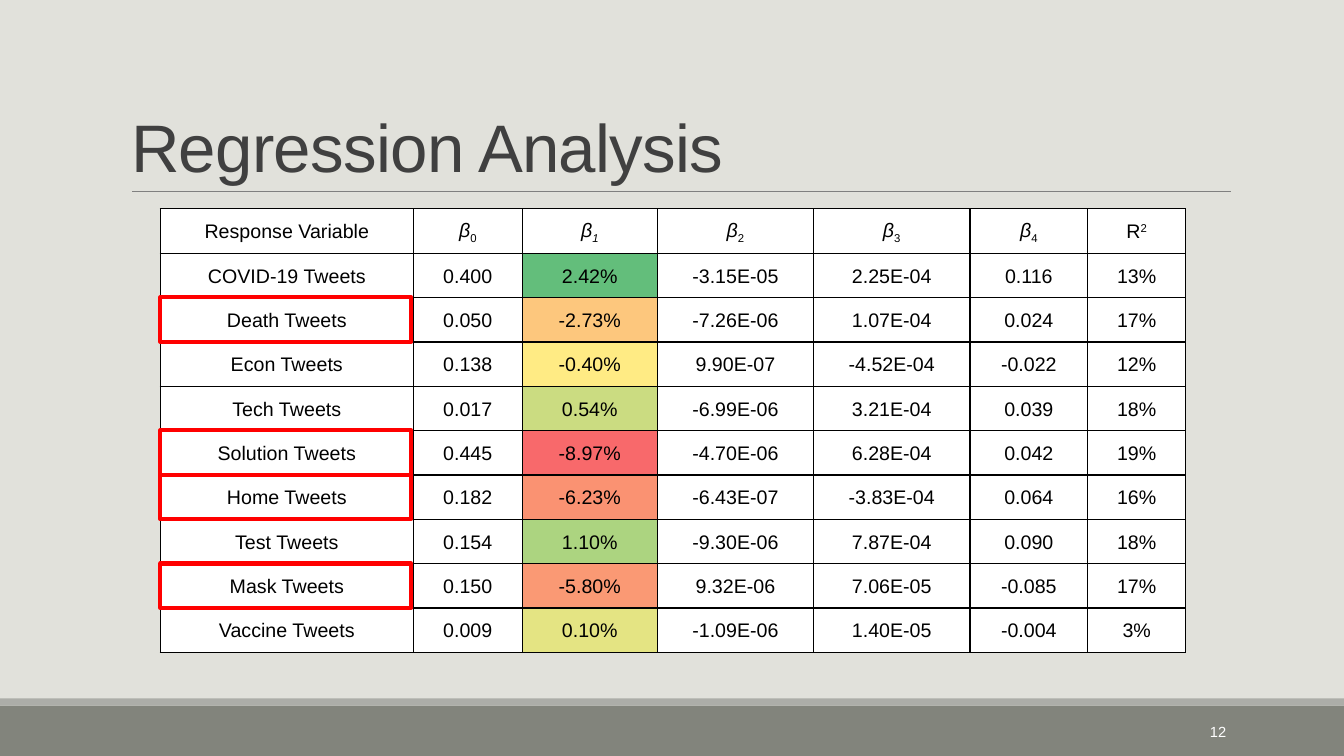
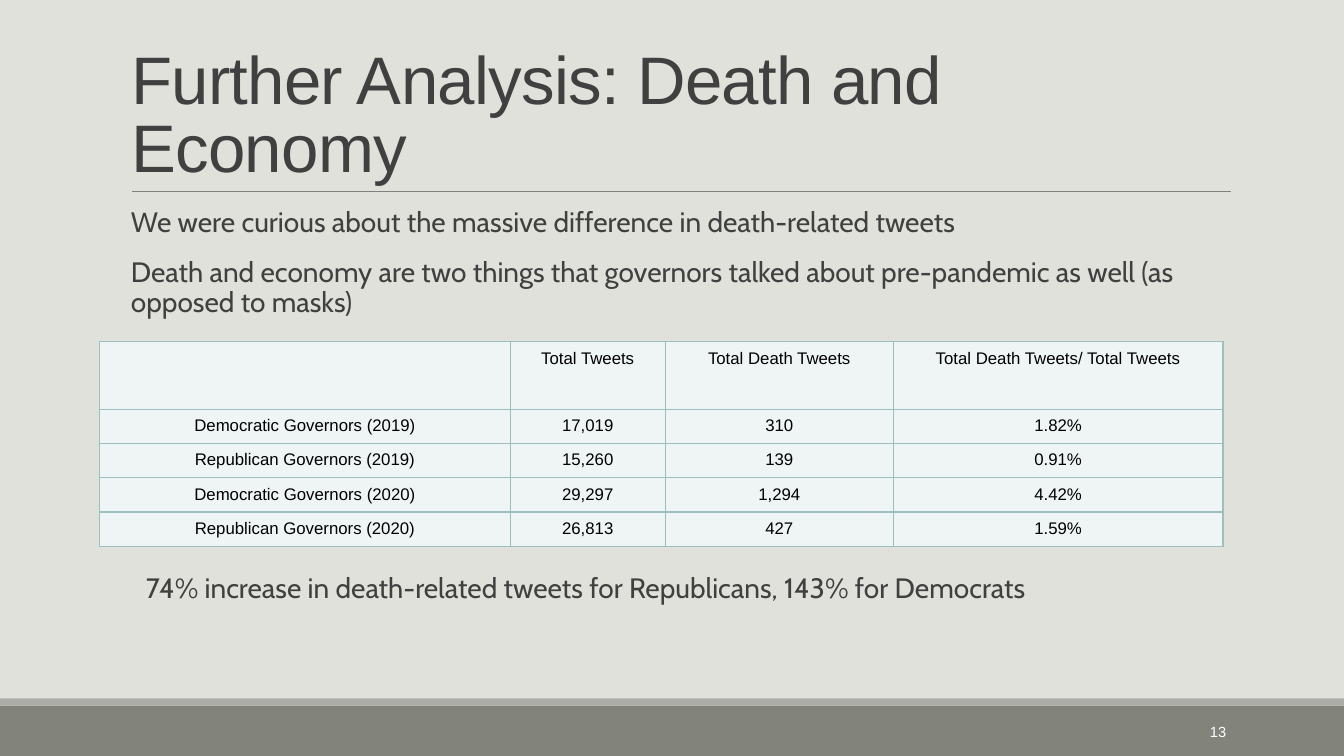
import dataclasses

import lxml.etree
import pptx
import pptx.dml.color
import pptx.enum.shapes
import pptx.enum.text
import pptx.oxml.ns
import pptx.util

Inches = pptx.util.Inches
Pt = pptx.util.Pt
ALIGN = pptx.enum.text.PP_ALIGN
ANCHOR = pptx.enum.text.MSO_ANCHOR
RECTANGLE = pptx.enum.shapes.MSO_SHAPE.RECTANGLE


@dataclasses.dataclass(frozen=True)
class Theme:
    background: str = "E1E1DB"
    band: str = "82847C"
    band_edge: str = "ACADA8"
    rule: str = "808080"
    text: str = "404040"
    black: str = "000000"
    white: str = "FFFFFF"
    highlight: str = "FF0000"
    pale: str = "EFF4F4"
    teal: str = "9DBFBE"
    heading_font: str = "Arial"
    body_font: str = "Cabin"
    title_size: float = 48
    body_size: float = 20
    number_size: float = 10.5


@dataclasses.dataclass(frozen=True)
class TableStyle:
    fill: str
    border: str
    size: float
    inset: float
    anchor: ANCHOR
    line_spacing: float


THEME = Theme()
REGRESSION_STYLE = TableStyle(THEME.white, THEME.black, 14, 0.08, ANCHOR.MIDDLE, 1.07)
GOVERNOR_STYLE = TableStyle(THEME.pale, THEME.teal, 12, 0.07, ANCHOR.TOP, 1)

SLIDE_WIDTH, SLIDE_HEIGHT = 13.33, 7.5
TITLE_BOX = (1.2, 0.31, 11, 1.59)
NUMBER_BOX = (10.83, 7.06, 1.43, 0.4)

REGRESSION_COLUMNS = (2.51, 1.08, 1.34, 1.55, 1.55, 1.17, 0.97)
REGRESSION_ROWS = (
    ("Response Variable", "β0", "β1", "β2", "β3", "β4", "R2"),
    ("COVID-19 Tweets", "0.400", "2.42%", "-3.15E-05", "2.25E-04", "0.116", "13%"),
    ("Death Tweets", "0.050", "-2.73%", "-7.26E-06", "1.07E-04", "0.024", "17%"),
    ("Econ Tweets", "0.138", "-0.40%", "9.90E-07", "-4.52E-04", "-0.022", "12%"),
    ("Tech Tweets", "0.017", "0.54%", "-6.99E-06", "3.21E-04", "0.039", "18%"),
    ("Solution Tweets", "0.445", "-8.97%", "-4.70E-06", "6.28E-04", "0.042", "19%"),
    ("Home Tweets", "0.182", "-6.23%", "-6.43E-07", "-3.83E-04", "0.064", "16%"),
    ("Test Tweets", "0.154", "1.10%", "-9.30E-06", "7.87E-04", "0.090", "18%"),
    ("Mask Tweets", "0.150", "-5.80%", "9.32E-06", "7.06E-05", "-0.085", "17%"),
    ("Vaccine Tweets", "0.009", "0.10%", "-1.09E-06", "1.40E-05", "-0.004", "3%"),
)
HEAT_COLUMN = 2
HEAT_COLORS = ("63BE7B", "FDC77D", "FFEB84", "CBDC81", "F8696B",
               "FA9272", "ACD480", "FA9974", "E4E483")
HIGHLIGHTED_ROWS = (2, 5, 6, 8)

GOVERNOR_COLUMNS = (4.07, 1.54, 2.26, 3.27)
GOVERNOR_ROWS = (
    ("", "Total Tweets", "Total Death Tweets", "Total Death Tweets/ Total Tweets"),
    ("Democratic Governors (2019)", "17,019", "310", "1.82%"),
    ("Republican Governors (2019)", "15,260", "139", "0.91%"),
    ("Democratic Governors (2020)", "29,297", "1,294", "4.42%"),
    ("Republican Governors (2020)", "26,813", "427", "1.59%"),
)


def rgb(color):
    return pptx.dml.color.RGBColor.from_string(color)


def inches(box):
    return [Inches(length) for length in box]


def format_font(font, name, size, color):
    font.name = name
    font.size = Pt(size)
    font.color.rgb = rgb(color)


def add_rectangle(slide, box, fill=None, line=None, line_width=0):
    shape = slide.shapes.add_shape(RECTANGLE, *inches(box))
    shape.shadow.inherit = False
    if fill:
        shape.fill.solid()
        shape.fill.fore_color.rgb = rgb(fill)
    else:
        shape.fill.background()
    if line:
        shape.line.color.rgb = rgb(line)
        shape.line.width = Pt(line_width)
    else:
        shape.line.fill.background()
    return shape


def add_rule(slide, left, right, y):
    rule = slide.shapes.add_connector(
        pptx.enum.shapes.MSO_CONNECTOR.STRAIGHT, *inches((left, y, right, y)))
    rule.line.color.rgb = rgb(THEME.rule)
    rule.line.width = Pt(0.5)
    lxml.etree.SubElement(rule._element.spPr, pptx.oxml.ns.qn("a:effectLst"))


def place_title(slide, text, box):
    title = slide.shapes.title
    title.left, title.top, title.width, title.height = inches(box)
    frame = title.text_frame
    frame.text = text
    frame.word_wrap = True
    frame.auto_size = pptx.enum.text.MSO_AUTO_SIZE.NONE
    frame.vertical_anchor = ANCHOR.BOTTOM
    paragraph = frame.paragraphs[0]
    paragraph.alignment = ALIGN.LEFT
    paragraph.line_spacing = 0.85
    font = paragraph.runs[0].font
    format_font(font, THEME.heading_font, THEME.title_size, THEME.text)
    font._element.set("spc", "-50")


def add_slide_number(slide, number, box):
    frame = slide.shapes.add_textbox(*inches(box)).text_frame
    frame.text = str(number)
    frame.word_wrap = True
    frame.vertical_anchor = ANCHOR.MIDDLE
    paragraph = frame.paragraphs[0]
    paragraph.alignment = ALIGN.RIGHT
    format_font(paragraph.runs[0].font, THEME.heading_font, THEME.number_size, THEME.white)


def add_titled_slide(presentation, title, number):
    """Add a slide with the title, rule, bottom bands and number that all slides share."""
    slide = presentation.slides.add_slide(presentation.slide_layouts.get_by_name("Title Only"))
    add_rectangle(slide, (0, 7, SLIDE_WIDTH, 0.5), fill=THEME.band)
    add_rectangle(slide, (0, 6.93, SLIDE_WIDTH, 0.07), fill=THEME.band_edge)
    add_rule(slide, 1.31, 12.21, 1.9)
    place_title(slide, title, TITLE_BOX)
    add_slide_number(slide, number, NUMBER_BOX)
    return slide


def add_statements(slide, box, statements):
    frame = slide.shapes.add_textbox(*inches(box)).text_frame
    frame.word_wrap = True
    frame.text = "\n".join(statements)
    for paragraph in frame.paragraphs:
        paragraph.line_spacing = 0.9
        paragraph.space_before = Pt(12)
        paragraph.space_after = Pt(2)
        format_font(paragraph.runs[0].font, THEME.body_font, THEME.body_size, THEME.text)


def set_borders(cell, color):
    properties = cell._tc.get_or_add_tcPr()
    for side in ("a:lnL", "a:lnR", "a:lnT", "a:lnB"):
        line = lxml.etree.SubElement(properties, pptx.oxml.ns.qn(side), w=str(Pt(1)))
        fill = lxml.etree.SubElement(line, pptx.oxml.ns.qn("a:solidFill"))
        lxml.etree.SubElement(fill, pptx.oxml.ns.qn("a:srgbClr"), val=color)


def fill_cell(cell, color):
    cell.fill.solid()
    cell.fill.fore_color.rgb = rgb(color)


def format_cell(cell, style):
    set_borders(cell, style.border)
    fill_cell(cell, style.fill)
    cell.vertical_anchor = style.anchor
    cell.margin_left = cell.margin_right = Inches(style.inset)
    cell.margin_top = cell.margin_bottom = Inches(style.inset)
    paragraph = cell.text_frame.paragraphs[0]
    paragraph.alignment = ALIGN.CENTER
    paragraph.line_spacing = style.line_spacing
    for font in [paragraph.font] + [run.font for run in paragraph.runs]:
        format_font(font, THEME.heading_font, style.size, THEME.black)
        font.bold = False


def add_styled_table(slide, left, top, columns, heights, rows, style):
    box = (left, top, sum(columns), sum(heights))
    table = slide.shapes.add_table(len(rows), len(columns), *inches(box)).table
    table.horz_banding = False
    for column, width in zip(table.columns, columns):
        column.width = Inches(width)
    for row, height, texts in zip(table.rows, heights, rows):
        row.height = Inches(height)
        for cell, text in zip(row.cells, texts):
            cell.text = text
            format_cell(cell, style)
    return table


def split_index(cell, style, baseline, italic, index_italic):
    """Turn the last character of a cell into a subscript or superscript."""
    paragraph = cell.text_frame.paragraphs[0]
    symbol = paragraph.runs[0]
    index = paragraph.add_run()
    symbol.text, index.text = symbol.text[:-1], symbol.text[-1]
    format_font(index.font, THEME.heading_font, style.size, THEME.black)
    symbol.font.italic = italic
    index.font.italic = index_italic
    index.font.bold = False
    index.font._element.set("baseline", str(baseline * 1000))


def add_regression_table(slide, left, top, row_height):
    heights = [row_height] * len(REGRESSION_ROWS)
    table = add_styled_table(slide, left, top, REGRESSION_COLUMNS, heights,
                             REGRESSION_ROWS, REGRESSION_STYLE)
    last = len(REGRESSION_COLUMNS) - 1
    for column in range(1, last):
        split_index(table.cell(0, column), REGRESSION_STYLE, -25, True, column == HEAT_COLUMN)
    split_index(table.cell(0, last), REGRESSION_STYLE, 30, False, False)
    for row, color in enumerate(HEAT_COLORS, start=1):
        fill_cell(table.cell(row, HEAT_COLUMN), color)
    for row in HIGHLIGHTED_ROWS:
        add_rectangle(slide, (left, top + row * row_height, 2.49, row_height),
                      line=THEME.highlight, line_width=3)


def build_regression_slide(presentation):
    slide = add_titled_slide(presentation, "Regression Analysis", 12)
    add_regression_table(slide, 1.59, 2.07, 0.44)


def build_further_analysis_slide(presentation):
    slide = add_titled_slide(presentation, "Further Analysis: Death and Economy", 13)
    add_statements(slide, (1.2, 2.02, 11, 1.3), (
        "We were curious about the massive difference in death-related tweets",
        "Death and economy are two things that governors talked about pre-pandemic as well "
        "(as opposed to masks)",
    ))
    add_styled_table(slide, 0.99, 3.39, GOVERNOR_COLUMNS, (0.67, 0.33, 0.33, 0.33, 0.33),
                     GOVERNOR_ROWS, GOVERNOR_STYLE)
    add_statements(slide, (1.35, 5.65, 10.73, 0.73), (
        "74% increase in death-related tweets for Republicans, 143% for Democrats",
    ))


def main():
    presentation = pptx.Presentation()
    presentation.slide_width = Inches(SLIDE_WIDTH)
    presentation.slide_height = Inches(SLIDE_HEIGHT)
    background = presentation.slide_master.background.fill
    background.solid()
    background.fore_color.rgb = rgb(THEME.background)
    build_regression_slide(presentation)
    build_further_analysis_slide(presentation)
    presentation.save("out.pptx")


if __name__ == "__main__":
    main()
